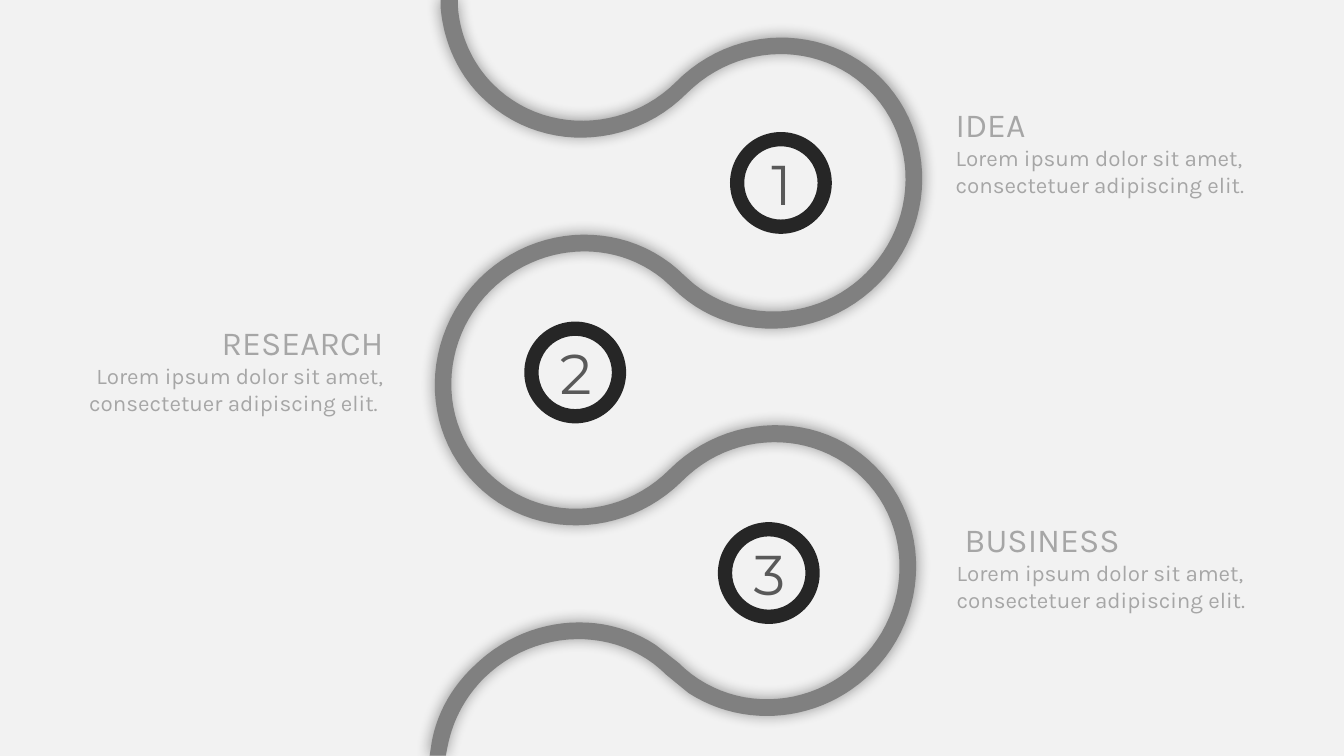
"""Build a slide with a winding ribbon and three numbered, captioned steps."""
from dataclasses import dataclass
from math import cos, radians, sin
from typing import Any

from lxml.etree import SubElement
from pptx import Presentation
from pptx.dml.color import RGBColor as Color
from pptx.enum.shapes import MSO_SHAPE as Preset
from pptx.enum.text import MSO_AUTO_SIZE as AutoSize, PP_ALIGN as Align
from pptx.oxml.ns import qn
from pptx.shapes.autoshape import Shape
from pptx.slide import Slide
from pptx.util import Emu, Inches, Pt

SLIDE_WIDTH, SLIDE_HEIGHT = Inches(13.33), Inches(7.5)
COLUMNS, ROWS = 13.33, 7.5
Point = tuple[float, float]


@dataclass(frozen=True)
class Theme:
    background: Color = Color.from_string("F2F2F2")
    ribbon: Color = Color.from_string("808080")
    ring: Color = Color.from_string("262626")
    number: Color = Color.from_string("595959")
    caption: Color = Color.from_string("A6A6A6")
    shadow: str = "000000"
    caption_font: str = "Karla"
    number_font: str = "Montserrat"
    title_size: Pt = Pt(24)
    body_size: Pt = Pt(16)
    number_size: Pt = Pt(40)


@dataclass(frozen=True)
class Line:
    text: str
    size: Pt
    font: str
    color: Color


@dataclass(frozen=True)
class Step:
    number: str
    ring: Point
    title: str
    body: str
    caption: Point
    align: Align


THEME = Theme()
RING_SIZE, RING_BAND = 1.01, 0.14
NUMBER_INSET, NUMBER_BOX = (0.07, 0.12), (0.88, 0.77)
CAPTION_BOX = (3.5, 1.35)
LOREM = "Lorem ipsum dolor sit amet, consectetuer adipiscing elit."
STEPS = (
    Step("1", (7.24, 1.31), "IDEA", LOREM, (9.38, 0.98), Align.LEFT),
    Step("2", (5.2, 3.19), " RESEARCH", LOREM + " ", (0.4, 3.14), Align.RIGHT),
    Step("3", (7.12, 5.18), " BUSINESS", LOREM, (9.39, 5.1), Align.LEFT),
)

RIBBON_TILT, RIBBON_CENTRE = 45, (6.1, 3.74)
CURVE_STEPS = 24
RIBBON_START = (4.37, 0)
RIBBON_SEGMENTS = (
    (4.54, 0), (4.54, 0.07),
    (4.56, 0.35, 4.68, 0.63, 4.89, 0.84),
    (5.38, 1.33, 6.19, 1.32, 6.7, 0.82),
    (7.27, 0.24, 8.18, 0.23, 8.74, 0.78),
    (9.29, 1.34, 9.28, 2.25, 8.71, 2.82),
    (8.13, 3.4, 7.22, 3.41, 6.67, 2.86),
    (6.57, 2.77),
    (6.08, 2.37, 5.34, 2.41, 4.86, 2.89),
    (4.36, 3.39, 4.34, 4.2, 4.84, 4.69),
    (5.33, 5.18, 6.13, 5.17, 6.64, 4.66),
    (7.21, 4.09, 8.13, 4.07, 8.68, 4.63),
    (9.23, 5.18, 9.22, 6.1, 8.65, 6.67),
    (8.15, 7.17, 7.39, 7.24, 6.83, 6.88),
    (6.61, 6.7),
    (6.12, 6.21, 5.31, 6.23, 4.8, 6.73),
    (4.61, 6.92, 4.49, 7.15, 4.44, 7.4),
    (4.42, 7.5), (4.26, 7.5), (4.28, 7.37),
    (4.33, 7.09, 4.47, 6.83, 4.69, 6.62),
    (5.19, 6.12, 5.95, 6.04, 6.5, 6.4),
    (6.73, 6.58),
    (7.22, 7.07, 8.03, 7.06, 8.53, 6.55),
    (9.04, 6.05, 9.05, 5.24, 8.56, 4.75),
    (8.07, 4.26, 7.26, 4.27, 6.76, 4.78),
    (6.18, 5.35, 5.27, 5.36, 4.72, 4.81),
    (4.16, 4.26, 4.18, 3.34, 4.75, 2.77),
    (5.32, 2.2, 6.23, 2.18, 6.79, 2.74),
    (6.88, 2.82),
    (7.38, 3.22, 8.12, 3.18, 8.59, 2.71),
    (9.1, 2.2, 9.11, 1.39, 8.62, 0.9),
    (8.13, 0.41, 7.32, 0.42, 6.81, 0.93),
    (6.24, 1.5, 5.33, 1.52, 4.77, 0.96),
    (4.53, 0.72, 4.4, 0.41, 4.37, 0.09),
)


def column(count: float) -> Emu:
    return Emu(round(SLIDE_WIDTH * count / COLUMNS))


def row(count: float) -> Emu:
    return Emu(round(SLIDE_HEIGHT * count / ROWS))


def place(origin: Point, size: Point) -> tuple[Emu, Emu, Emu, Emu]:
    return column(origin[0]), row(origin[1]), column(size[0]), row(size[1])


def apply_format(target: Any, values: dict[str, Any]) -> None:
    for name, value in values.items():
        setattr(target, name, value)


def paint(shape: Shape, color: Color) -> None:
    shape.shadow.inherit = False
    shape.fill.solid()
    shape.fill.fore_color.rgb = color
    shape.line.fill.background()


def trace(start: Point, segments: tuple[tuple[float, ...], ...]) -> list[Point]:
    points = [start]
    for segment in segments:
        if len(segment) == 2:
            points.append(segment)
            continue
        knots = (points[-1], segment[:2], segment[2:4], segment[4:])
        for index in range(1, CURVE_STEPS + 1):
            t = index / CURVE_STEPS
            weights = ((1 - t) ** 3, 3 * t * (1 - t) ** 2, 3 * t * t * (1 - t), t ** 3)
            x, y = (sum(w * knot[axis] for w, knot in zip(weights, knots)) for axis in (0, 1))
            points.append((x, y))
    return points


def untilt(point: Point) -> tuple[Emu, Emu]:
    angle = radians(RIBBON_TILT)
    dx, dy = point[0] - RIBBON_CENTRE[0], point[1] - RIBBON_CENTRE[1]
    return (column(RIBBON_CENTRE[0] + dx * cos(angle) + dy * sin(angle)),
            row(RIBBON_CENTRE[1] - dx * sin(angle) + dy * cos(angle)))


def add_ribbon(slide: Slide) -> None:
    first, *others = map(untilt, trace(RIBBON_START, RIBBON_SEGMENTS))
    builder = slide.shapes.build_freeform(*first)
    builder.add_line_segments(others, close=True)
    ribbon = builder.convert_to_shape()
    ribbon.rotation = RIBBON_TILT
    paint(ribbon, THEME.ribbon)
    effects = ribbon.element.spPr.find(qn("a:effectLst"))
    shadow = SubElement(effects, qn("a:outerShdw"), blurRad=str(Pt(10)), dist="0", dir="0")
    color = SubElement(shadow, qn("a:srgbClr"), val=THEME.shadow)
    SubElement(color, qn("a:alpha"), val="40000")


def add_text(slide: Slide, origin: Point, size: Point, lines: tuple[Line, ...], align: Align) -> None:
    frame = slide.shapes.add_textbox(*place(origin, size)).text_frame
    apply_format(frame, {"word_wrap": True, "auto_size": AutoSize.SHAPE_TO_FIT_TEXT})
    for index, line in enumerate(lines):
        paragraph = frame.add_paragraph() if index else frame.paragraphs[0]
        paragraph.alignment = align
        run = paragraph.add_run()
        run.text = line.text
        apply_format(run.font, {"size": line.size, "name": line.font})
        run.font.color.rgb = line.color


def add_step(slide: Slide, step: Step) -> None:
    ring = slide.shapes.add_shape(Preset.DONUT, *place(step.ring, (RING_SIZE, RING_SIZE)))
    ring.adjustments[0] = RING_BAND
    paint(ring, THEME.ring)
    caption = (Line(step.title, THEME.title_size, THEME.caption_font, THEME.caption),
               Line(step.body, THEME.body_size, THEME.caption_font, THEME.caption))
    add_text(slide, step.caption, CAPTION_BOX, caption, step.align)
    number = Line(step.number, THEME.number_size, THEME.number_font, THEME.number)
    origin = (step.ring[0] + NUMBER_INSET[0], step.ring[1] + NUMBER_INSET[1])
    add_text(slide, origin, NUMBER_BOX, (number,), Align.CENTER)


def main() -> None:
    presentation = Presentation()
    apply_format(presentation, {"slide_width": SLIDE_WIDTH, "slide_height": SLIDE_HEIGHT})
    slide = presentation.slides.add_slide(presentation.slide_layouts[6])
    slide.background.fill.solid()
    slide.background.fill.fore_color.rgb = THEME.background
    add_ribbon(slide)
    for step in STEPS:
        add_step(slide, step)
    presentation.save("out.pptx")


if __name__ == "__main__":
    main()
